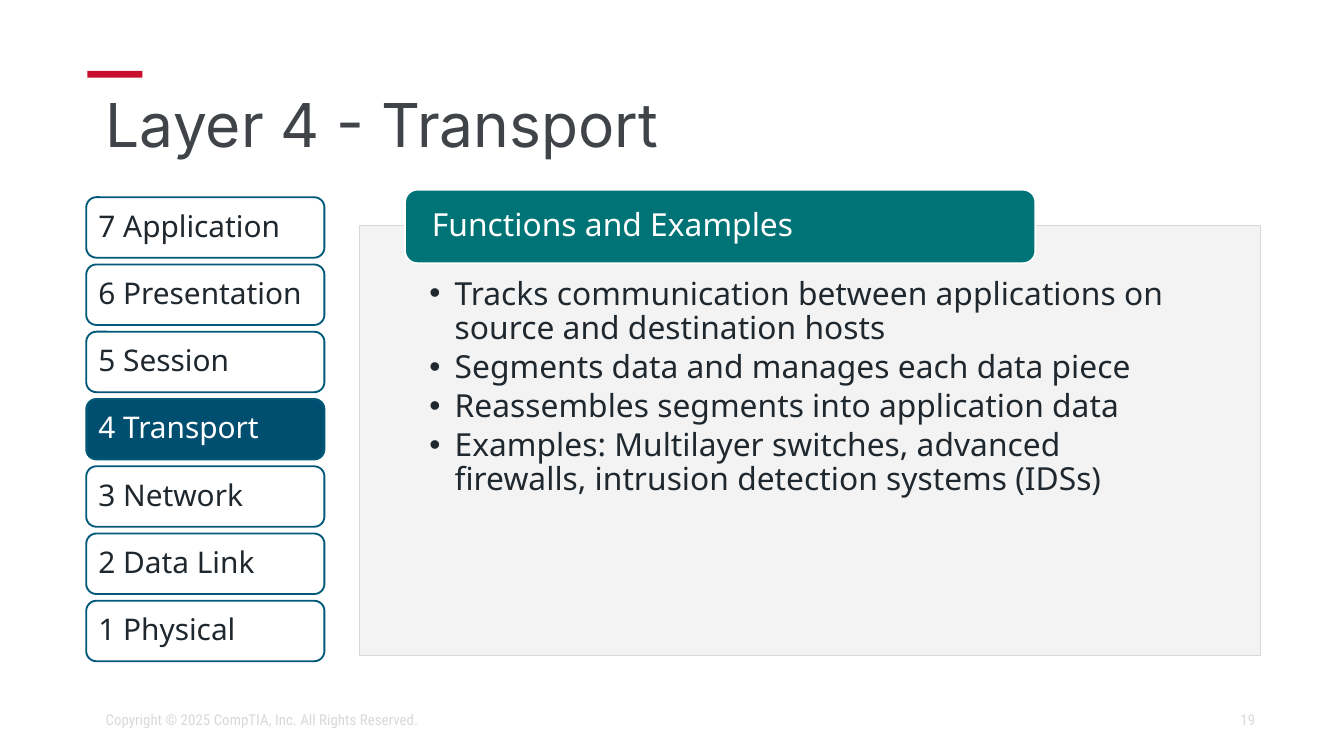
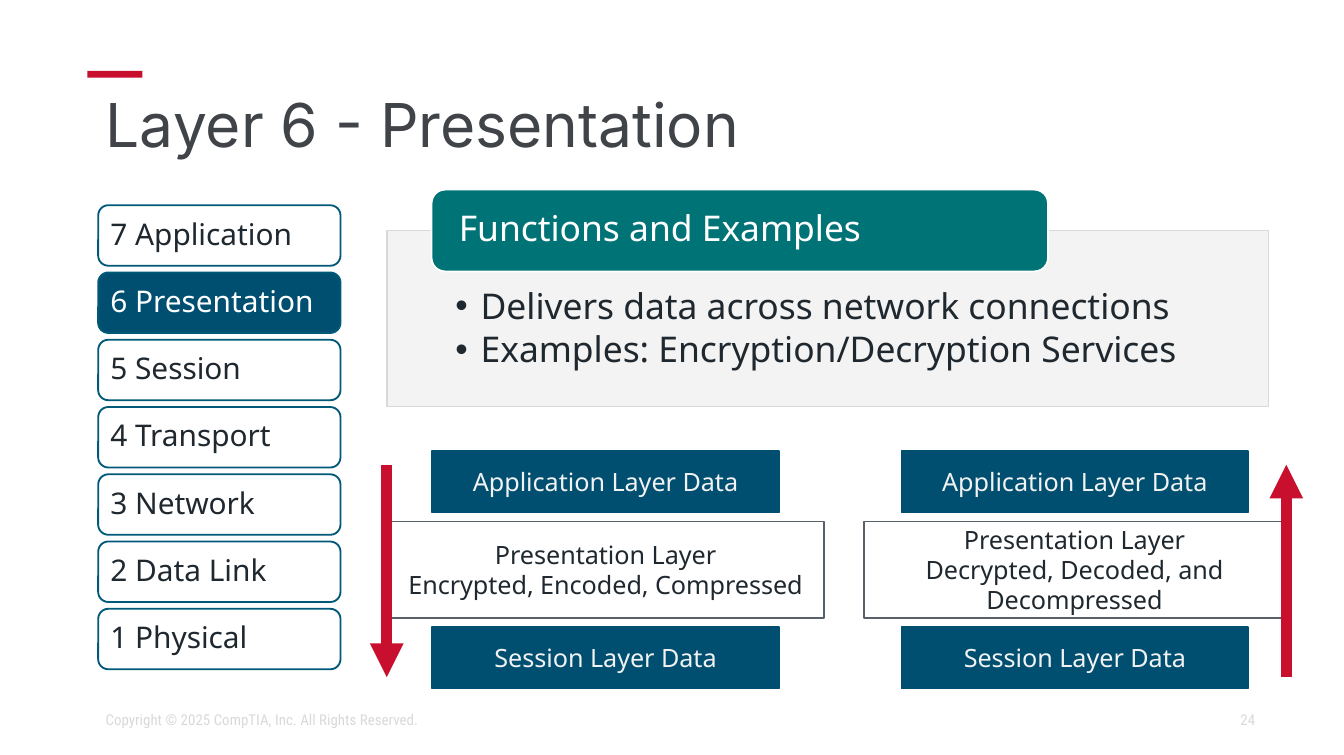
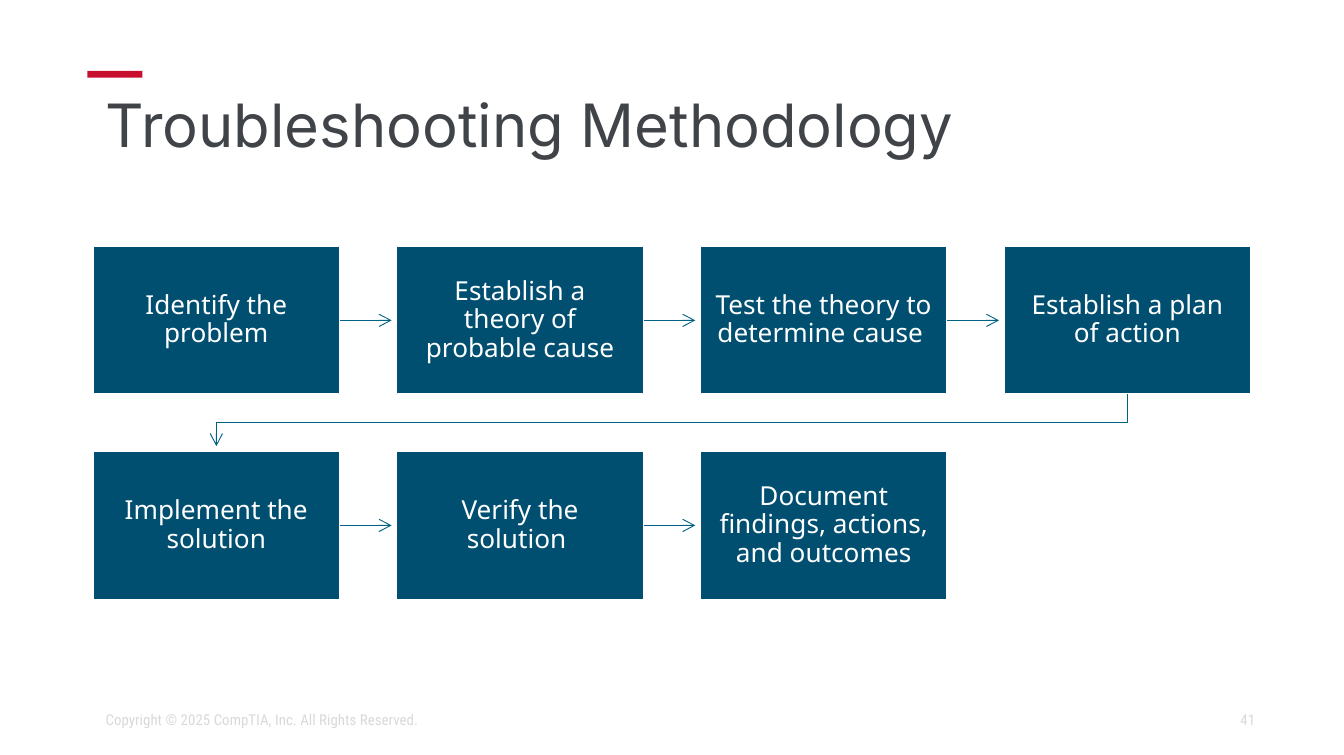
from lxml import etree
from pptx import Presentation
from pptx.dml.color import RGBColor
from pptx.enum import shapes, text
from pptx.oxml.ns import qn
from pptx.util import Pt

hue = RGBColor.from_string
RECT, ROUND = shapes.MSO_SHAPE.RECTANGLE, shapes.MSO_SHAPE.ROUNDED_RECTANGLE
LEFT, MID, RIGHT = text.PP_ALIGN.LEFT, text.PP_ALIGN.CENTER, text.PP_ALIGN.RIGHT
TOP, CENTER = text.MSO_ANCHOR.TOP, text.MSO_ANCHOR.MIDDLE
NAVY, TEAL, RED, EDGE = "004F71", "007377", "C8102E", "005978"
INK, WHITE, PALE, GRAY, SLATE = "20282F", "FFFFFF", "F2F2F2", "D9D9D9", "586169"


def write(shape, lines, size, color, face="Noto Sans", align=LEFT,
          inset=(7.2, 3.6, 7.2, 3.6), anchor=CENTER, space=0.9):
    frame = shape.text_frame
    form = dict(zip(("margin_left", "margin_top", "margin_right", "margin_bottom"),
                    map(Pt, inset)))
    form |= dict(word_wrap=True, auto_size=text.MSO_AUTO_SIZE.NONE, vertical_anchor=anchor)
    for key, val in form.items():
        setattr(frame, key, val)
    frame.text = "\n".join(lines)
    for par in frame.paragraphs:
        for key, val in dict(alignment=align, line_spacing=space, space_before=Pt(0)).items():
            setattr(par, key, val)
        font = par.runs[0].font
        for key, val in dict(name=face, size=Pt(size)).items():
            setattr(font, key, val)
        font.color.rgb = hue(color)


def block(slide, kind, box, fill, edge, width=1):
    """Add a preset shape; a fill or edge of None is left empty."""
    shape = slide.shapes.add_shape(kind, *map(Pt, box))
    shape.shadow.inherit = False
    if fill:
        shape.fill.solid()
        shape.fill.fore_color.rgb = hue(fill)
    else:
        shape.fill.background()
    if edge:
        shape.line.color.rgb = hue(edge)
        shape.line.width = Pt(width)
    else:
        shape.line.fill.background()
    return shape


deck = Presentation()
deck.slide_width = Pt(720)
deck.slide_height = Pt(404.64)

# Title, page number, title size, layout index
pages = [
    ("Layer 4 - Transport", 19, 32.4, 1),
    ("Layer 6 - Presentation", 24, 32.4, 1),
    ("Troubleshooting Methodology", 41, 32, 5),
]
for name, page, size, kind in pages:
    slide = deck.slides.add_slide(deck.slide_layouts[kind])
    title = slide.shapes.title
    title.left, title.top, title.width, title.height = map(Pt, (49.5, 46, 620.6, 45.4))
    write(title, [name], size, "404448", "Inter")
    notes = [
        (f"{page}", (508.1, 374.8, 171.4, 21.6), RIGHT),
        ("Copyright © 2025 CompTIA, Inc. All Rights Reserved.", (49.5, 374.8, 310.3, 21.6), LEFT),
    ]
    for line, box, align in notes:
        foot = slide.shapes.add_textbox(*map(Pt, box))
        write(foot, [line], 8, GRAY, "Roboto Condensed", align, space=1)

# The red bar moves to the master, so every slide shows it
bar = block(slide, RECT, (46.8, 38, 29.6, 3.6), RED, None)
deck.slide_master.shapes._spTree.append(bar._element)

# Layer stack beside a panel of functions
layers = ["Physical", "Data Link", "Network", "Transport", "Session", "Presentation", "Application"]
views = [
    dict(live=4, stack=(46.2, 105.7, 127.6), panel=(192.7, 120.8, 482.6, 230.4),
         tab=(217, 101.7, 337.7, 39.4), size=17, inset=(37.4, 28, 37.4, 9.4),
         items=["Tracks communication between applications on source and destination hosts",
                "Segments data and manages each data piece",
                "Reassembles segments into application data",
                "Examples: Multilayer switches, advanced firewalls, "
                "intrusion detection systems (IDSs)"]),
    dict(live=6, stack=(52.6, 110, 129.8), panel=(207.3, 123.7, 472.3, 94.3),
         tab=(231.2, 101.6, 330.3, 43.9), size=19, inset=(36.7, 31, 36.7, 10.8),
         items=["Delivers data across network connections",
                "Examples: Encryption/Decryption Services"]),
]
for slide, view in zip(deck.slides, views):
    left, top, wide = view["stack"]
    for num, name in enumerate(layers, 1):
        live = num == view["live"]
        step = block(slide, ROUND, (left, top + (7 - num) * 36.05, wide, 32.4),
                     NAVY if live else WHITE, EDGE)
        write(step, [f"{num} {name}"], 16, WHITE if live else INK, inset=(5, 5, 3, 5))

    panel = slide.placeholders[1]
    panel.left, panel.top, panel.width, panel.height = map(Pt, view["panel"])
    panel.fill.solid()
    panel.fill.fore_color.rgb = hue(PALE)
    shade = panel._element.spPr.find(".//" + qn("a:srgbClr"))
    etree.SubElement(shade, qn("a:alpha"), val="90000")
    panel.line.color.rgb = hue(GRAY)
    panel.line.width = Pt(0.75)
    write(panel, view["items"], view["size"], INK, inset=view["inset"], anchor=TOP)
    for par in panel.text_frame.paragraphs:
        par.space_after = Pt(round(view["size"] * 0.15, 1))
        props = par._p.get_or_add_pPr()
        props.set("marL", str(Pt(13.5)))
        props.set("indent", str(-Pt(13.5)))
        etree.SubElement(props, qn("a:buChar"), char="•")

    tab = block(slide, ROUND, view["tab"], TEAL, WHITE)
    write(tab, ["Functions and Examples"], view["size"], WHITE, inset=(12.5, 0, 12.5, 0))

# Data passing down and up through the presentation layer
arrows = []
slide = deck.slides[1]
flows = [
    (231.5, (207.4, 234), WHITE, "Encrypted, Encoded, Compressed", (207.2, 249.1, 207.2, 362.9)),
    (482.9, (462.8, 225.6), None, "Decrypted, Decoded, and Decompressed",
     (689.1, 362.9, 689.1, 249.1)),
]
for left, (edge, wide), fill, work, ends in flows:
    for name, top in ("Application", 241.6), ("Session", 336):
        data = block(slide, RECT, (left, top, 185.8, 33.1), NAVY, NAVY)
        write(data, [f"{name} Layer Data"], 13.5, PALE, align=MID, space=1)
    core = block(slide, RECT, (edge, 279.4, wide, 51.8), fill, SLATE, 0.75)
    write(core, ["Presentation Layer", work], 13.5, INK, align=MID, space=1)
    line = slide.shapes.add_connector(shapes.MSO_CONNECTOR.STRAIGHT, *map(Pt, ends))
    arrows.append((line, RED, 6, "triangle"))

# Steps in rows of four, joined in reading order
slide = deck.slides[2]
steps = [
    "Identify the problem", "Establish a theory of probable cause",
    "Test the theory to determine cause ", "Establish a plan of action",
    "Implement the solution", "Verify the solution ",
    "Document findings, actions, and outcomes",
]
wide, high = 132.4, 79.4
for num, name in enumerate(steps):
    row, col = divmod(num, 4)
    left, top = 49.7 + col * 162.7, 132 + row * 109.9
    step = block(slide, RECT, (left, top, wide, high), NAVY, WHITE)
    write(step, [name], 14, WHITE, align=MID, inset=(7.9,) * 4)
    if num == len(steps) - 1:
        continue
    if col < 3:
        start, mid = left + wide, top + high / 2
        line = slide.shapes.add_connector(
            shapes.MSO_CONNECTOR.STRAIGHT, *map(Pt, (start, mid, start + 27.7, mid)))
    else:
        start, end, low = left + wide / 2, 49.7 + wide / 2, top + high
        turn = slide.shapes.build_freeform(Pt(start), Pt(low))
        bends = [(start, low + 15.3), (end, low + 15.3), (end, low + 27.7)]
        turn.add_line_segments([(Pt(x), Pt(y)) for x, y in bends], close=False)
        line = turn.convert_to_shape()
        line.fill.background()
    arrows.append((line, "006284", 0.5, "arrow"))

for line, color, width, head in arrows:
    line.line.color.rgb = hue(color)
    line.line.width = Pt(width)
    props = line._element.spPr
    etree.SubElement(props.find(qn("a:ln")), qn("a:tailEnd"), type=head)
    etree.SubElement(props, qn("a:effectLst"))

deck.save("out.pptx")
